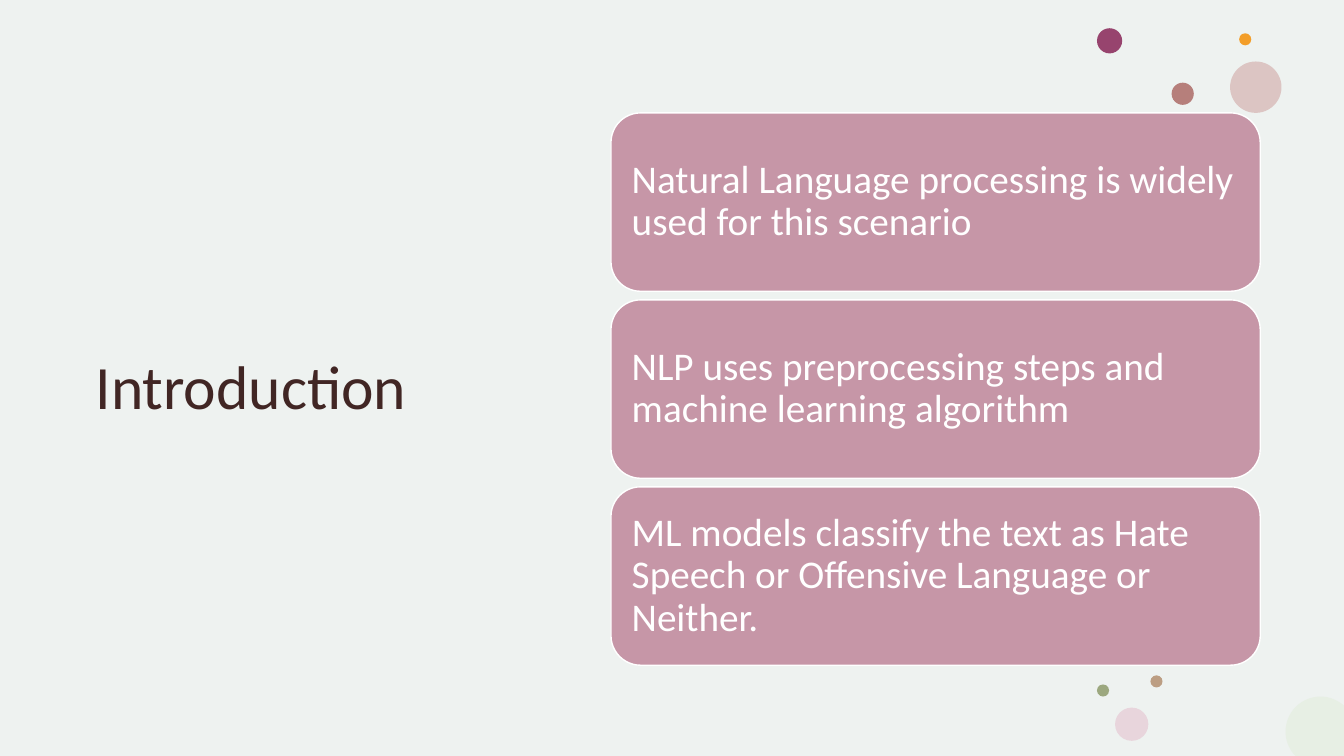
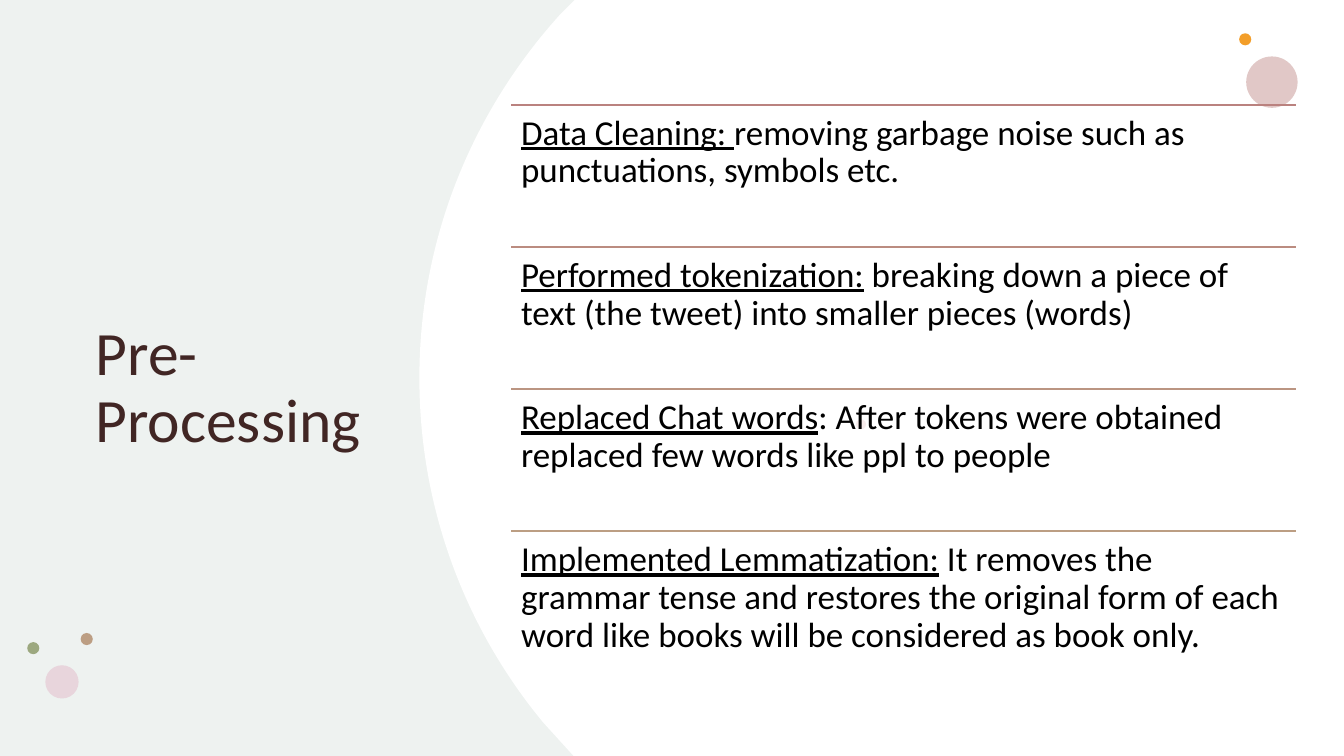
"""Two slides on hate speech detection: introduction and pre-processing."""
from lxml.etree import SubElement
from pptx import Presentation
from pptx.dml.color import RGBColor as RGB
from pptx.enum.shapes import MSO_CONNECTOR as LINK, MSO_SHAPE as SHAPE
from pptx.enum.text import MSO_ANCHOR as ANCHOR, PP_ALIGN as ALIGN
from pptx.oxml.ns import qn
from pptx.util import Inches, Pt

FONT = "Calibri"
WIDE, HIGH = 13.33, 7.5
MIST = RGB(0xC8, 0xD4, 0xD0)
WHITE = RGB(0xFF, 0xFF, 0xFF)
BLACK = RGB(0x00, 0x00, 0x00)
BROWN = RGB(0x41, 0x26, 0x24)
MAUVE = RGB(0xC6, 0x96, 0xA7)
PLUM = RGB(0x97, 0x44, 0x6E)
CLAY = RGB(0xB6, 0x7F, 0x7B)
ROSE = RGB(0xD6, 0xB4, 0xB2)
BLUSH = RGB(0xE3, 0xBE, 0xBE)
AMBER = RGB(0xF3, 0x9E, 0x29)
TAN = RGB(0xBC, 0x9E, 0x83)
PINK = RGB(0xE8, 0xD5, 0xDC)
OLIVE = RGB(0x9C, 0xA8, 0x7F)
MINT = RGB(0xE7, 0xEF, 0xE4)
RULES = (RGB(0xBA, 0x82, 0x7F), RGB(0xBB, 0x8C, 0x80),
         RGB(0xBB, 0x95, 0x82), TAN)


def paint(shape, color, alpha=100):
    """Give a shape a plain fill without line or shadow."""
    shape.shadow.inherit = False
    shape.line.fill.background()
    shape.fill.solid()
    shape.fill.fore_color.rgb = color
    if alpha < 100:
        tint = shape.fill._xPr.find(qn("a:solidFill"))[0]
        SubElement(tint, qn("a:alpha"), val=str(alpha * 1000))


def write(shape, runs, size, color, anchor, inset=0.1):
    """Set one paragraph of (text, underline) runs in a shape."""
    frame = shape.text_frame
    frame.word_wrap = True
    frame.vertical_anchor = anchor
    frame.margin_left = frame.margin_right = Inches(inset)
    frame.margin_top = frame.margin_bottom = Inches(inset)
    para = frame.paragraphs[0]
    para.alignment = ALIGN.LEFT
    para.line_spacing = 0.9
    para.font.name = FONT
    para.font.size = Pt(size)
    para.font.color.rgb = color
    for text, under in runs:
        run = para.add_run()
        run.text = text
        if under:
            run.font.underline = True


deck = Presentation()
deck.slide_width, deck.slide_height = Inches(WIDE), Inches(HIGH)

TRIO = ((0.53, 0, 0.12, TAN), (0.18, 0.32, 0.33, PINK), (0, 0.09, 0.12, OLIVE))
CORNER = (
    ((13.1, 6.91),),
    ((13.19, 6.91), (13.27, 6.95), (WIDE, 7)),
    ((WIDE, HIGH),),
    ((12.85, HIGH),),
    ((12.83, 7.48),),
    ((12.78, 7.42), (12.75, 7.34), (12.75, 7.26)),
    ((12.75, 7.06), (12.91, 6.91), (13.1, 6.91)),
)
PANEL = (
    ((5.7, 0),),
    ((WIDE, 0),),
    ((WIDE, HIGH),),
    ((5.69, HIGH),),
    ((5.39, 7.17),),
    ((4.62, 6.24), (4.16, 5.05), (4.16, 3.75)),
    ((4.16, 2.36), (4.69, 1.1), (5.56, 0.14)),
)
PAGES = (
    ("Introduction", 5.04, CORNER, MINT, (10.88, 6.7),
     ((10.88, 0.28, 0.25, PLUM, 100), (12.2, 0.61, 0.51, ROSE, 72),
      (11.62, 0.82, 0.22, CLAY, 100))),
    ("Pre-Processing", 3.13, PANEL, WHITE, (0.27, 6.28),
     ((12.36, 0.56, 0.51, ROSE, 72), (8.49, 4.16, 0.1, BLUSH, 28))),
)

for title, width, edge, color, (left, top), dots in PAGES:
    slide = deck.slides.add_slide(deck.slide_layouts[6])
    slide.background.fill.solid()
    slide.background.fill.fore_color.rgb = WHITE
    veil = slide.shapes.add_shape(
        SHAPE.RECTANGLE, 0, 0, Inches(WIDE), Inches(HIGH))
    paint(veil, MIST, 30)

    spots = [(Inches(x), Inches(y)) for part in edge for x, y in part]
    pen = slide.shapes.build_freeform(*spots[0])
    pen.add_line_segments(spots[1:])
    form = pen.convert_to_shape()
    paint(form, color)
    lines = iter(list(form._element.iter(qn("a:lnTo"))))
    for part in edge[1:]:
        line = next(lines)
        if len(part) == 3:
            line.addprevious(curve := line.makeelement(qn("a:cubicBezTo")))
            for step in (line, next(lines), next(lines)):
                curve.append(step[0])
                step.getparent().remove(step)

    trio = [(left + x, top + y, size, tone, 100) for x, y, size, tone in TRIO]
    for x, y, size, tone, alpha in (*dots, (12.29, 0.33, 0.12, AMBER, 100), *trio):
        dot = slide.shapes.add_shape(
            SHAPE.OVAL, Inches(x), Inches(y), Inches(size), Inches(size))
        paint(dot, tone, alpha)

    box = slide.shapes.add_textbox(
        Inches(0.85), Inches(1.04), Inches(width), Inches(5.64))
    write(box, [(title, False)], 44, BROWN, ANCHOR.MIDDLE)

intro, prep = deck.slides

CARDS = (
    "Natural Language processing is widely used for this scenario",
    "NLP uses preprocessing steps and machine learning algorithm",
    "ML models classify the text as Hate Speech or Offensive Language or Neither.",
)
pitch = (4.83 - 1.12) / 2
for row, text in enumerate(CARDS):
    card = intro.shapes.add_shape(
        SHAPE.ROUNDED_RECTANGLE, Inches(6.06), Inches(1.12 + pitch * row),
        Inches(6.44), Inches(1.77))
    paint(card, MAUVE)
    card.line.color.rgb = WHITE
    card.line.width = Pt(1)
    write(card, [(text, False)], 28, WHITE, ANCHOR.MIDDLE, 0.12)

STEPS = (
    ("Data Cleaning: ",
     "removing garbage noise such as punctuations, symbols etc."),
    ("Performed tokenization:",
     " breaking down a piece of text (the tweet) into smaller pieces (words)"),
    ("Replaced Chat words",
     ": After tokens were obtained replaced few words like ppl to people"),
    ("Implemented Lemmatization:",
     " It removes the grammar tense and restores the original form of each "
     "word like books will be considered as book only."),
)
for row, ((head, body), color) in enumerate(zip(STEPS, RULES)):
    top = Inches(1.04 + 1.41 * row)
    rule = prep.shapes.add_connector(
        LINK.STRAIGHT, Inches(5.07), top, Inches(12.85), top)
    rule.line.color.rgb = color
    rule.line.width = Pt(1)
    SubElement(rule._element.spPr, qn("a:effectLst"))
    box = prep.shapes.add_textbox(Inches(5.07), top, Inches(7.78), Inches(1.41))
    write(box, [(head, True), (body, False)], 25, BLACK, ANCHOR.TOP)

deck.save("out.pptx")
